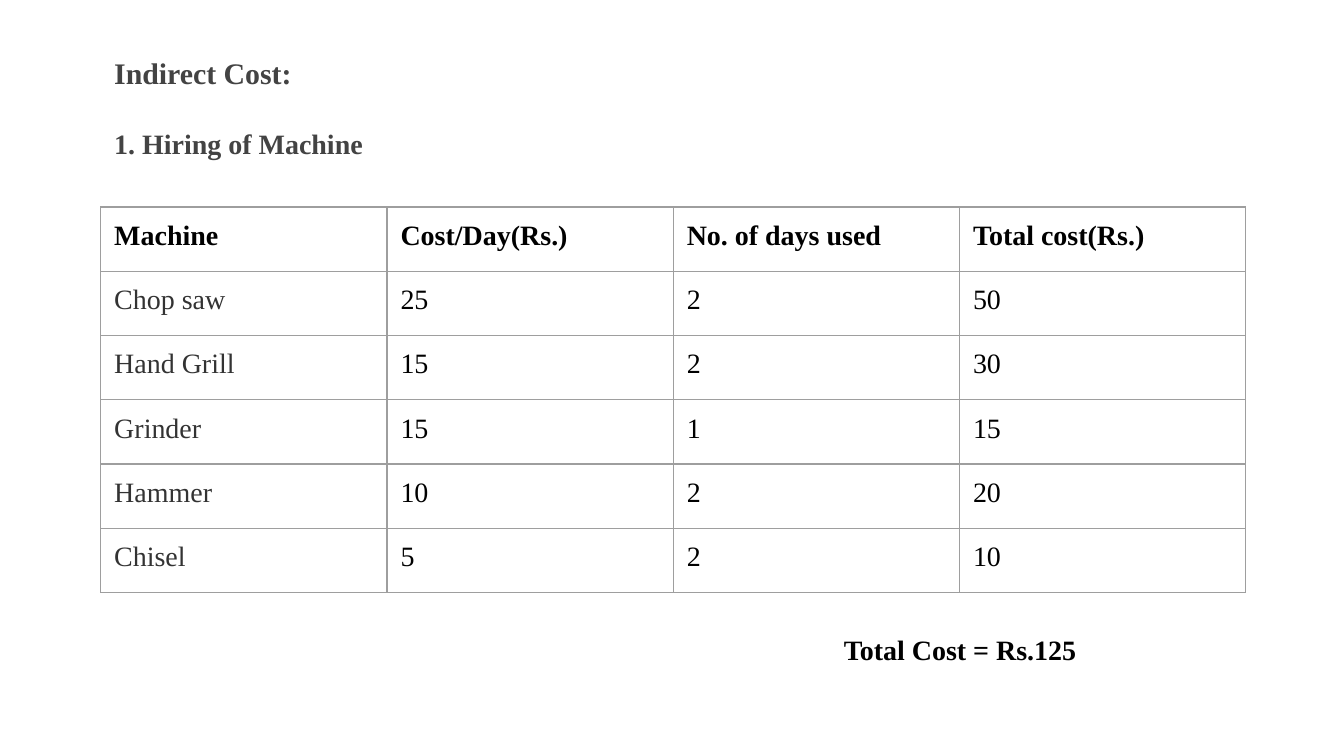
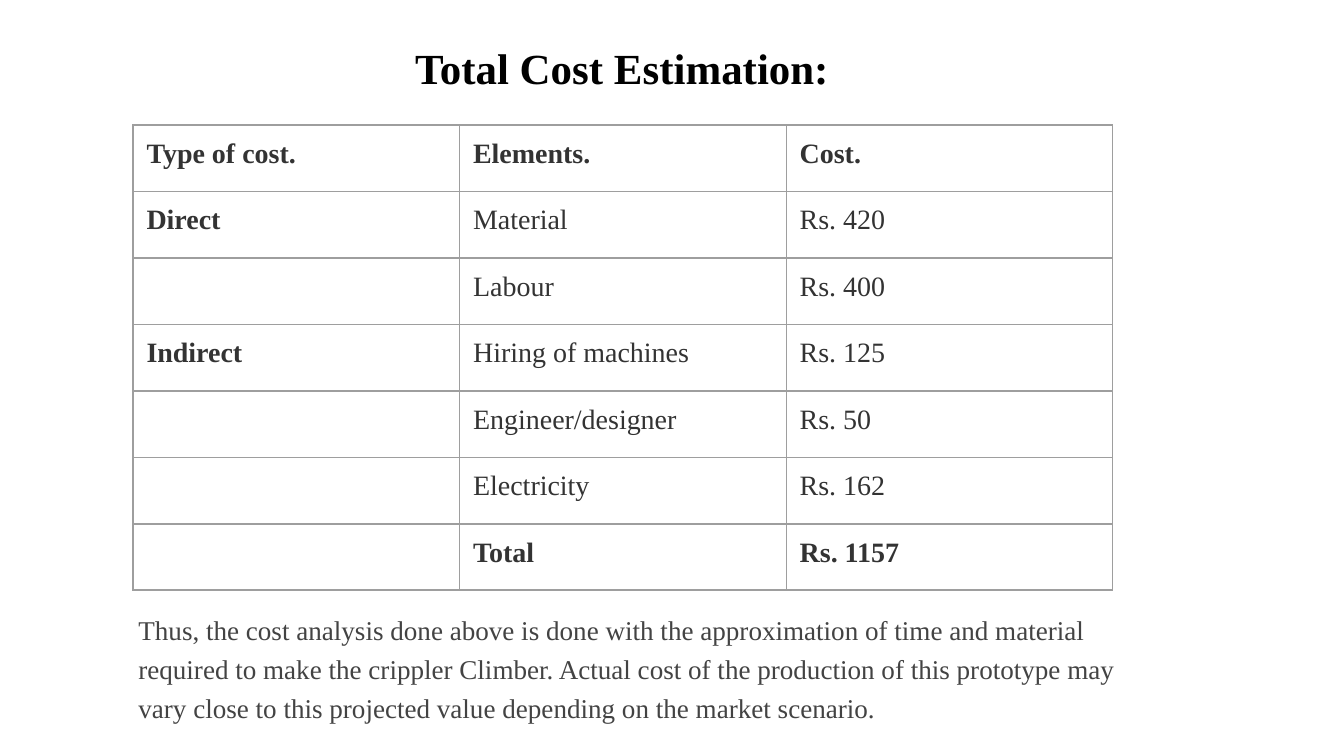
from lxml.etree import SubElement
from pptx import Presentation
from pptx.dml.color import RGBColor
from pptx.enum.text import MSO_ANCHOR, MSO_AUTO_SIZE, PP_ALIGN
from pptx.oxml.ns import qn
from pptx.util import Inches, Pt

FONT = "Times New Roman"
BLACK = RGBColor(0x00, 0x00, 0x00)
DARK_GRAY = RGBColor(0x33, 0x33, 0x33)
HEADING_GRAY = RGBColor(0x43, 0x43, 0x43)
BORDER_GRAY = RGBColor(0x9E, 0x9E, 0x9E)
PADDING = Inches(0.1)


def write_text(target, text, box=None, size=15, color=BLACK, bold=False,
               align=PP_ALIGN.LEFT, add=False, space_before=0, line_spacing=1.0):
    """Write a paragraph into a shape (placed by box) or a table cell."""
    frame = target.text_frame
    holder = target
    if box:
        target.left, target.top, target.width, target.height = map(Inches, box)
        frame.auto_size = MSO_AUTO_SIZE.NONE
        frame.vertical_anchor = MSO_ANCHOR.TOP
        frame.word_wrap = True
        holder = frame
    if not add:
        holder.margin_left = holder.margin_right = PADDING
        holder.margin_top = holder.margin_bottom = PADDING
    paragraph = frame.add_paragraph() if add else frame.paragraphs[0]
    paragraph.alignment = align
    paragraph.space_before = Pt(space_before)
    paragraph.line_spacing = line_spacing
    paragraph.font.size = Pt(size)
    if text:
        run = paragraph.add_run()
        run.text = text
        run.font.name = FONT
        run.font.size = Pt(size)
        run.font.bold = bold
        run.font.color.rgb = color


def add_cost_table(slide, rows, left, top, column_width, height, style):
    """Add a plain bordered table; style(row, column) gives colour and bold."""
    columns = len(rows[0])
    table = slide.shapes.add_table(
        len(rows), columns, Inches(left), Inches(top),
        Inches(column_width * columns), Inches(height)).table
    table.first_row = table.horz_banding = False
    for column in table.columns:
        column.width = Inches(column_width)
    for row_index, values in enumerate(rows):
        table.rows[row_index].height = Inches(height / len(rows))
        for column_index, value in enumerate(values):
            cell = table.cell(row_index, column_index)
            color, bold = style(row_index, column_index)
            write_text(cell, value, color=color, bold=bold)
            properties = cell._tc.get_or_add_tcPr()
            for side in ("a:lnL", "a:lnR", "a:lnT", "a:lnB"):
                line = SubElement(properties, qn(side), w=str(Pt(0.75)))
                fill = SubElement(line, qn("a:solidFill"))
                SubElement(fill, qn("a:srgbClr"), val=str(BORDER_GRAY))
            cell.fill.background()


# Widescreen, 16 by 9
presentation = Presentation()
presentation.slide_width = Inches(10)
presentation.slide_height = Inches(10 * 9 / 16)
title_only = presentation.slide_layouts[5]

# Slide 1: machine hire
slide = presentation.slides.add_slide(title_only)
title = slide.shapes.title
write_text(title, "Indirect Cost:", box=(0.75, 0.31, 8.98, 1.7), size=16,
           color=HEADING_GRAY, bold=True)
write_text(title, "1. Hiring of Machine", color=HEADING_GRAY, bold=True,
           add=True, space_before=19)

machines = [("Chop saw", 25, 2), ("Hand Grill", 15, 2), ("Grinder", 15, 1),
            ("Hammer", 10, 2), ("Chisel", 5, 2)]
machine_rows = [("Machine", "Cost/Day(Rs.)", "No. of days used", "Total cost(Rs.)")]
for name, daily_cost, days in machines:
    machine_rows.append((name, str(daily_cost), str(days), str(daily_cost * days)))
add_cost_table(
    slide, machine_rows, 0.75, 1.54, 2.13, 2.87,
    lambda row, column: (DARK_GRAY if row and column == 0 else BLACK, row == 0))

total_box = slide.shapes.add_textbox(0, 0, 0, 0)
write_text(total_box, "Total Cost = Rs.125", box=(6.18, 4.61, 3.07, 0.45), bold=True)

# Slide 2: total cost
slide = presentation.slides.add_slide(title_only)
write_text(slide.shapes.title, "Total Cost Estimation:", box=(1.73, 0.21, 5.8, 0.59),
           size=23, bold=True, align=PP_ALIGN.CENTER)

cost_rows = [
    ("Type of cost.", "Elements.", "Cost."),
    ("Direct", "Material", "Rs. 420"),
    ("", "Labour", "Rs. 400"),
    ("Indirect", "Hiring of machines", "Rs. 125"),
    ("", "Engineer/designer", "Rs. 50"),
    ("", "Electricity", "Rs. 162"),
]
add_cost_table(slide, cost_rows, 0.99, 0.93, 2.43, 2.97,
               lambda row, column: (DARK_GRAY, row == 0 or column == 0))
add_cost_table(slide, [("", "Total", "Rs. 1157")], 0.99, 3.9, 2.43, 0.49,
               lambda row, column: (DARK_GRAY, True))

# Closing remark
remark = slide.shapes.add_textbox(0, 0, 0, 0)
write_text(
    remark,
    "Thus, the cost analysis done above is done with the approximation of time and "
    "material required to make the crippler Climber. Actual cost of the production of "
    "this prototype may vary close to this projected value depending on the market "
    "scenario.",
    box=(0.86, 4.42, 8.66, 1.03), size=14.5, color=HEADING_GRAY, line_spacing=1.2)
remark.text_frame.margin_left = Inches(0.17)
remark.text_frame.margin_right = Inches(1.05)

presentation.save("out.pptx")
